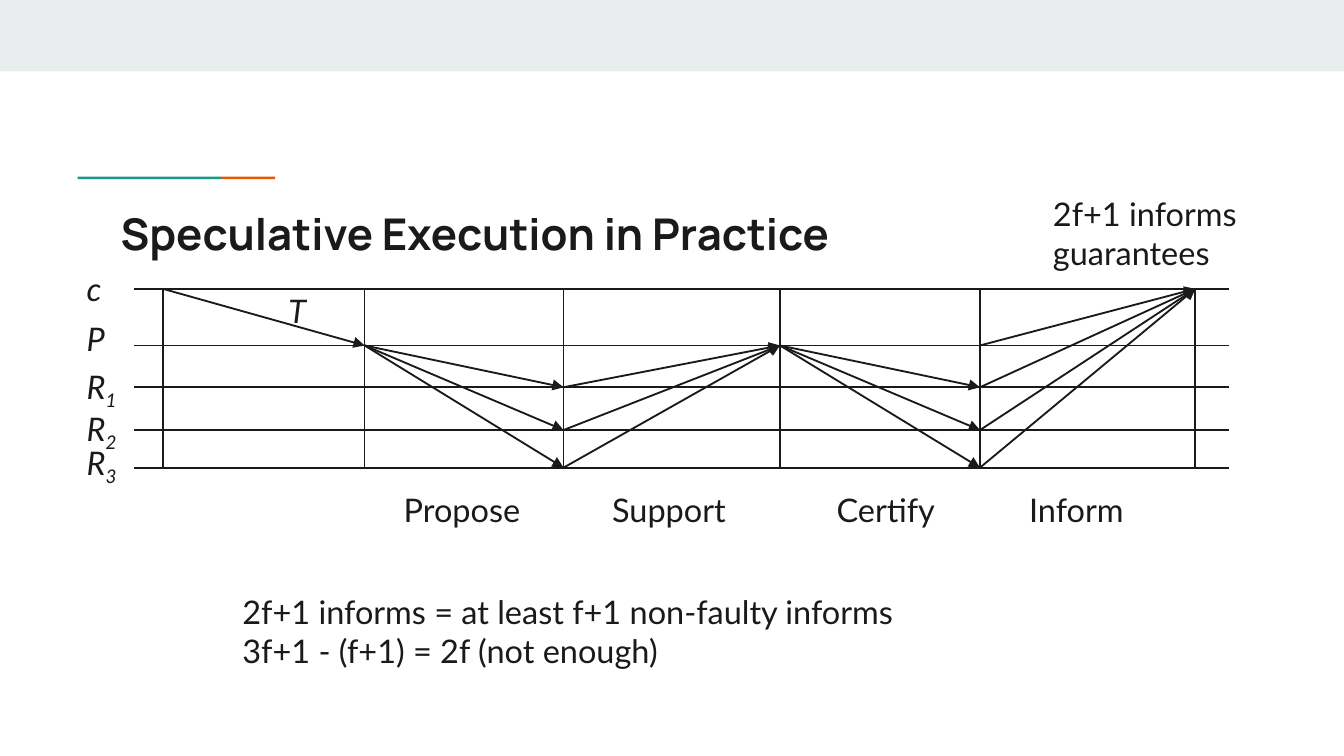
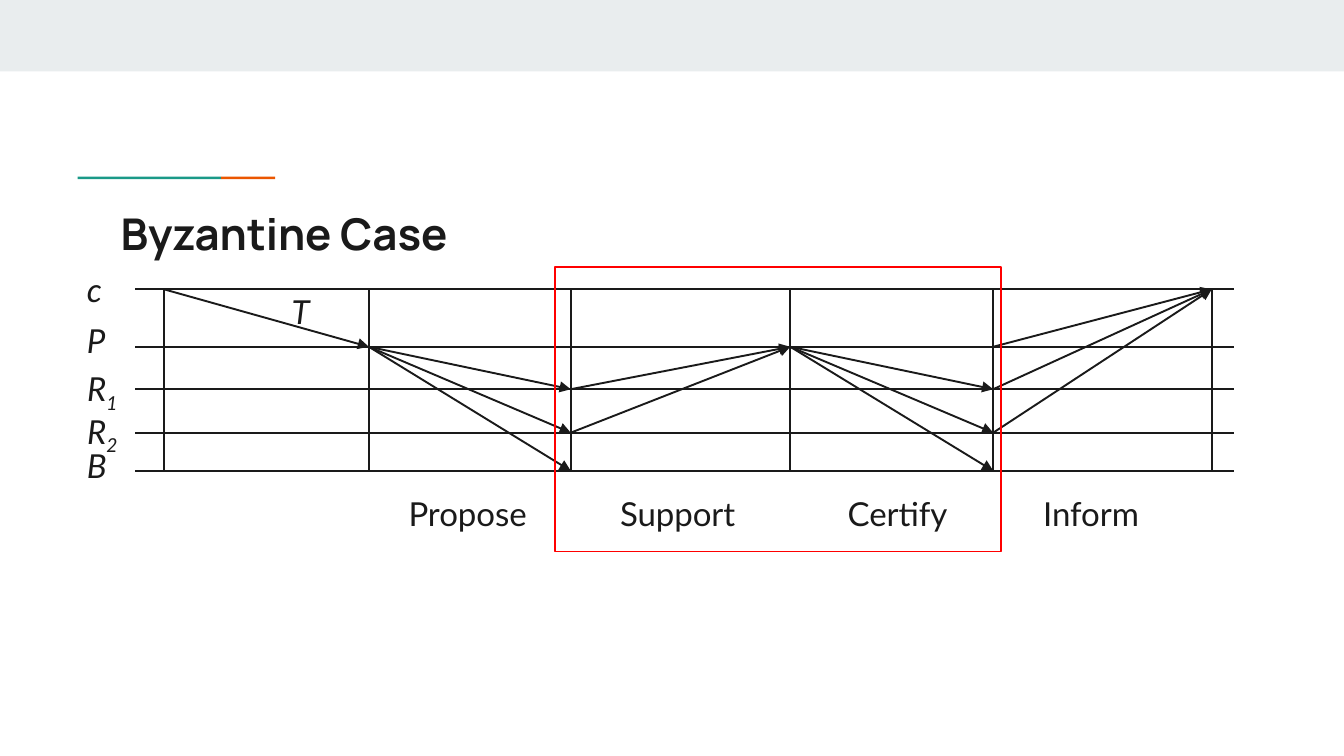
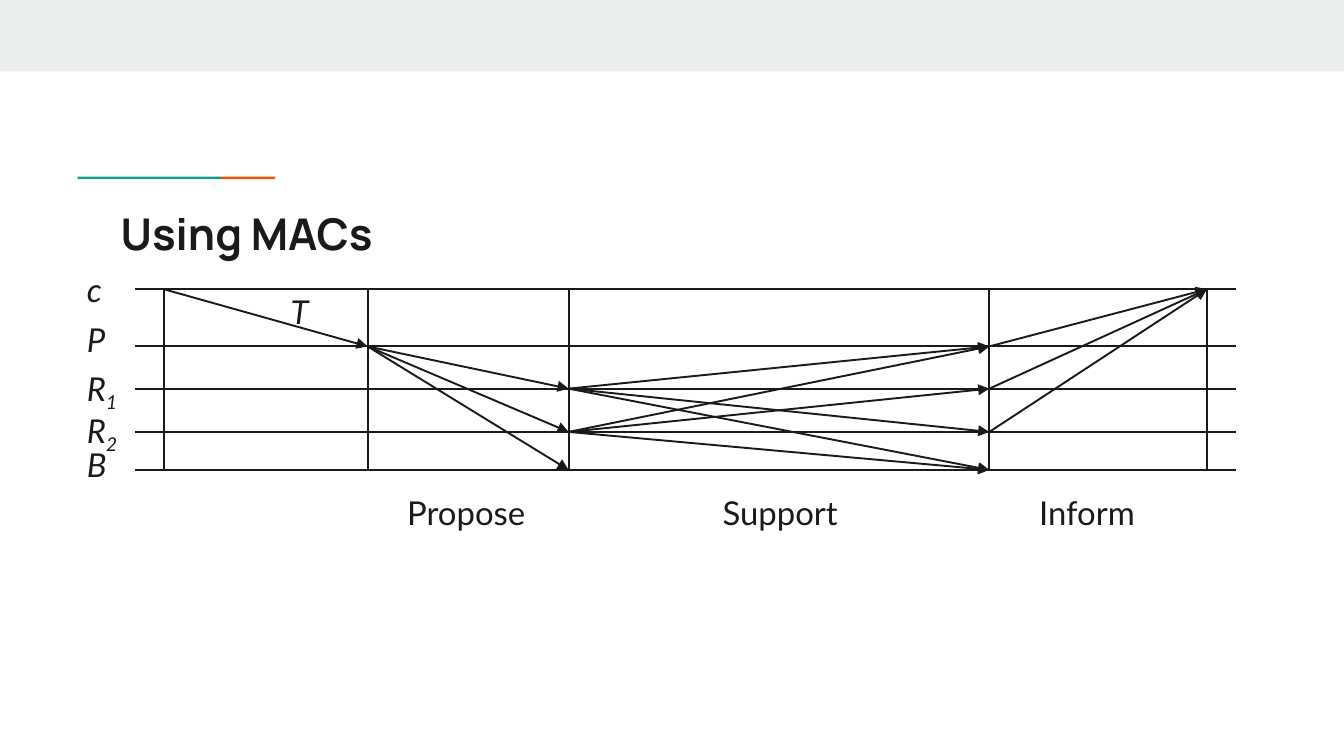
from lxml.etree import SubElement
from pptx import Presentation
from pptx.dml.color import RGBColor
from pptx.enum.shapes import MSO_CONNECTOR, MSO_SHAPE
from pptx.enum.text import MSO_ANCHOR, MSO_AUTO_SIZE
from pptx.oxml.ns import qn
from pptx.util import Cm, Pt

INK, BAND, TEAL, ORANGE, RED = "1A1A1A", "E9EDEE", "1A9988", "EB5600", "FF0000"
SLIDE_WIDTH, SLIDE_HEIGHT = 25.4, 14.29
TITLE = {"name": "Manrope", "size": Pt(23.4), "bold": True}

# Diagram geometry in cm from its top left corner, at its base width
BASE_WIDTH, BASE_SIZE = 21.29, 17.4
DIAGRAM_LEFT, DIAGRAM_TOP = 1.3, 4.75
STEPS = [1.78, 5.59, 9.35, 13.44, 17.22, 21.29]
LANES = [0.71, 1.78, 2.57, 3.38, 4.09]
ROLE_TOPS = [0, 0.94, 1.85, 2.64, 3.28]
LANE_START, PHASE_TOP, LABEL_HEIGHT, LABEL_INSET = 1.24, 4.17, 1.42, 0.34

# Messages as (sending lane, receiving lane); lane 0 is the client
REQUEST = [(0, 1)]
FROM_PRIMARY = [(1, 2), (1, 3), (1, 4)]


def color(hex_string):
    return RGBColor.from_string(hex_string)


def body(size, italic=False):
    return {"name": "Lato", "size": Pt(size), "italic": italic}


def add_text(slide, box, paragraphs, font, inset, grow=True):
    """Each paragraph is a string; an underscore starts a subscript."""
    frame = slide.shapes.add_textbox(*map(Cm, box)).text_frame
    layout = {"word_wrap": True, "vertical_anchor": MSO_ANCHOR.TOP,
              "auto_size": MSO_AUTO_SIZE.SHAPE_TO_FIT_TEXT if grow else MSO_AUTO_SIZE.NONE}
    for side in ("left", "top", "right", "bottom"):
        layout[f"margin_{side}"] = Cm(inset)
    for key, value in layout.items():
        setattr(frame, key, value)
    for number, content in enumerate(paragraphs):
        paragraph = frame.add_paragraph() if number else frame.paragraphs[0]
        for level, part in enumerate(content.split("_")):
            run = paragraph.add_run()
            run.text = part
            for key, value in font.items():
                setattr(run.font, key, value)
            run.font.color.rgb = color(INK)
            if level:
                run.font._element.set("baseline", "-25000")


def add_box(slide, box, fill=None, outline=None):
    rectangle = slide.shapes.add_shape(MSO_SHAPE.RECTANGLE, *map(Cm, box))
    rectangle.shadow.inherit = False
    if fill:
        rectangle.fill.solid()
        rectangle.fill.fore_color.rgb = color(fill)
    else:
        rectangle.fill.background()
    if outline:
        rectangle.line.color.rgb = color(outline)
        rectangle.line.width = Pt(0.75)
    else:
        rectangle.line.fill.background()


def add_line(slide, start, end, width, arrow=False):
    line = slide.shapes.add_connector(MSO_CONNECTOR.STRAIGHT, *map(Cm, (*start, *end)))
    line.line.color.rgb = color(INK)
    line.line.width = Pt(width)
    properties = line._element.spPr
    if arrow:
        SubElement(properties.find(qn("a:ln")), qn("a:tailEnd"), type="triangle")
    SubElement(properties, qn("a:effectLst"))


def add_frame(presentation, title):
    """Blank slide with the top band, the accent rule and the title."""
    slide = presentation.slides.add_slide(presentation.slide_layouts[6])
    add_box(slide, (0, 0, SLIDE_WIDTH, 1.35), BAND)
    add_box(slide, (1.47, 3.34, 2.71, 0.05), TEAL)
    add_box(slide, (4.18, 3.34, 1.02, 0.05), ORANGE)
    add_text(slide, (2.03, 3.66, 21.36, 1.5), [title], TITLE, 0.25, grow=False)
    return slide


def add_diagram(slide, left, top, width, lane_end, roles, steps, phases):
    """Lanes, time steps and messages, scaled to the given width."""
    scale = width / BASE_WIDTH
    size = round(BASE_SIZE * scale, 1)

    def at(x, y):
        return left + x * scale, top + y * scale

    def add_label(x, y, label_width, label, italic=False):
        box = (*at(x, y), label_width * scale, LABEL_HEIGHT * scale)
        add_text(slide, box, [label], body(size, italic), LABEL_INSET * scale)

    # Lanes with their roles
    for lane, role_top, role in zip(LANES, ROLE_TOPS, roles):
        start = at(LANE_START, lane)
        add_line(slide, start, (left + lane_end, start[1]), scale)
        add_label(0, role_top, 1.7 if "_" in role else 1.24, role, italic=True)

    # Time steps
    for step in steps:
        add_line(slide, at(STEPS[step], LANES[0]), at(STEPS[step], LANES[-1]), scale)

    # Phases: name, its left edge and the messages up to the next step
    add_label(3.81, 0.41, 1.24, "T", italic=True)
    for sent, received, (phase, phase_left, messages) in zip(steps, steps[1:], phases):
        if phase:
            add_label(phase_left, PHASE_TOP, 3.02, phase)
        for sender, receiver in messages:
            add_line(slide, at(STEPS[sent], LANES[sender]),
                     at(STEPS[received], LANES[receiver]), scale, arrow=True)


def four_phases(supporters, informers):
    return [(None, 0, REQUEST),
            ("Propose", 5.99, FROM_PRIMARY),
            ("Support", 9.93, [(lane, 1) for lane in supporters]),
            ("Certify", 14.17, FROM_PRIMARY),
            ("Inform", 17.81, [(lane, 0) for lane in informers])]


def build_speculative(presentation):
    slide = add_frame(presentation, "Speculative Execution in Practice")
    add_diagram(slide, DIAGRAM_LEFT, DIAGRAM_TOP, BASE_WIDTH, 21.92,
                ["c", "P", "R_1", "R_2", "R_3"], range(6),
                four_phases([2, 3, 4], [1, 2, 3, 4]))
    # Guarantee and its reasoning
    notes = [((19.56, 3.33, 5.51, 2.18), ["2f+1 informs", "guarantees"]),
             ((4.24, 10.85, 16.26, 2.18),
              ["2f+1 informs = at least f+1 non-faulty informs",
               "3f+1 - (f+1) = 2f (not enough)"])]
    for box, lines in notes:
        add_text(slide, box, lines, body(BASE_SIZE), LABEL_INSET)


def build_byzantine(presentation):
    slide = add_frame(presentation, "Byzantine Case")
    add_diagram(slide, DIAGRAM_LEFT, DIAGRAM_TOP, 21.6, 22.02,
                ["c", "P", "R_1", "R_2", "B"], range(6),
                four_phases([2, 3], [1, 2, 3]))
    # Frame around the support and certify phases
    add_box(slide, (DIAGRAM_LEFT + 9.19, DIAGRAM_TOP + 0.3, 8.43, 5.38), outline=RED)


def build_macs(presentation):
    slide = add_frame(presentation, "Using MACs")
    exchange = [(sender, receiver) for sender in (2, 3)
                for receiver in range(1, 5) if receiver != sender]
    phases = [(None, 0, REQUEST),
              ("Propose", 5.99, FROM_PRIMARY),
              ("Support", 11.89, exchange),
              ("Inform", 17.81, [(1, 0), (2, 0), (3, 0)])]
    add_diagram(slide, DIAGRAM_LEFT, DIAGRAM_TOP, 21.51, 22.05,
                ["c", "P", "R_1", "R_2", "B"], [0, 1, 2, 4, 5], phases)


def main():
    presentation = Presentation()
    presentation.slide_width = Cm(SLIDE_WIDTH)
    presentation.slide_height = Cm(SLIDE_HEIGHT)
    for build in (build_speculative, build_byzantine, build_macs):
        build(presentation)
    presentation.save("out.pptx")


if __name__ == "__main__":
    main()
